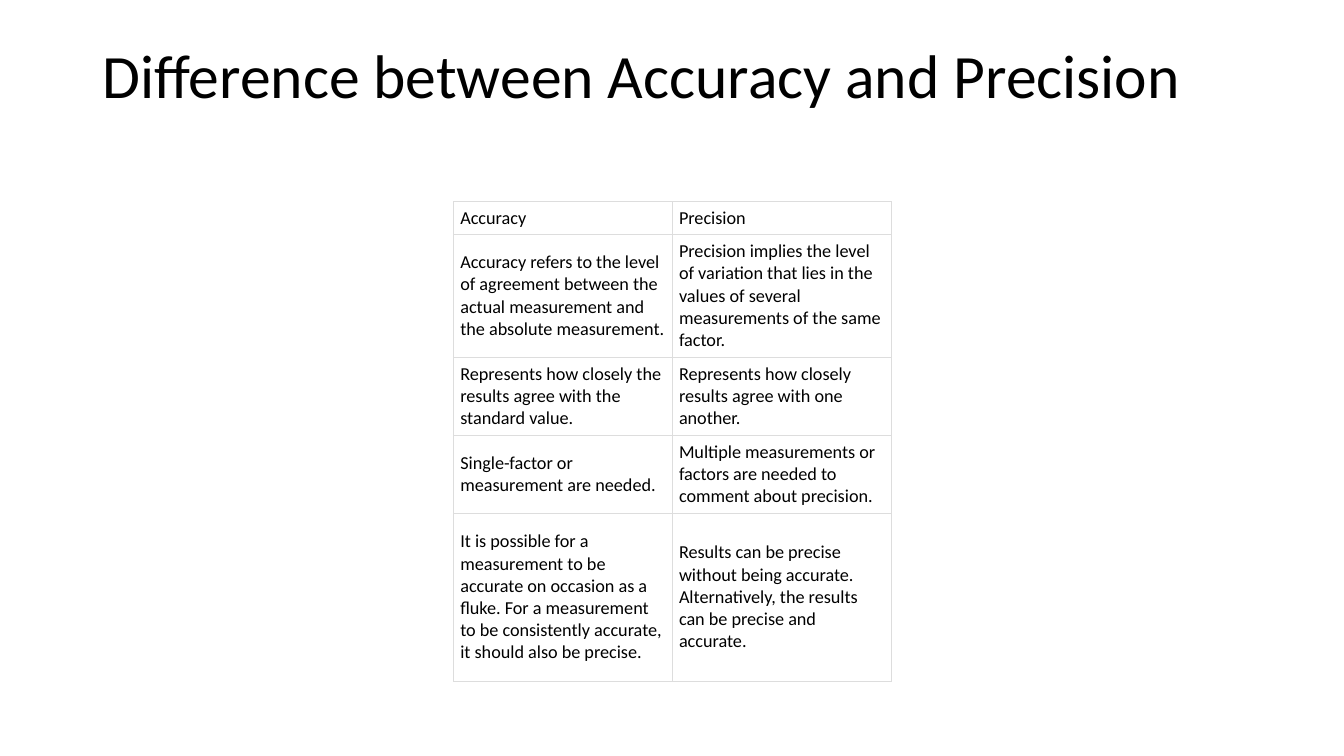
from dataclasses import dataclass

from lxml import etree
from pptx import Presentation
from pptx.dml.color import RGBColor
from pptx.enum.text import MSO_ANCHOR
from pptx.oxml.ns import qn
from pptx.util import Pt

ANCHOR_TOP = MSO_ANCHOR.TOP
ANCHOR_MIDDLE = MSO_ANCHOR.MIDDLE
FONT = "Calibri"
COLORS = {"text": "000000", "cell": "FFFFFF", "border": "DDDDDD"}
BORDER_WIDTH = 0.6
COLUMN_WIDTH = 156.24
MARGIN_X, MARGIN_Y = 4.8, 3.6


@dataclass
class ComparisonRow:
    accuracy: str
    precision: str
    height: float


ROWS = [
    ComparisonRow("Accuracy", "Precision", 23.4),
    ComparisonRow(
        "Accuracy refers to the level of agreement between the actual "
        "measurement and the absolute measurement.",
        "Precision implies the level of variation that lies in the values of "
        "several measurements of the same factor.",
        87.84,
    ),
    ComparisonRow(
        "Represents how closely the results agree with the standard value.",
        "Represents how closely results agree with one another.",
        55.6,
    ),
    ComparisonRow(
        "Single-factor or measurement are needed.",
        "Multiple measurements or factors are needed to comment about precision.",
        55.6,
    ),
    ComparisonRow(
        "It is possible for a measurement to be accurate on occasion as a fluke. "
        "For a measurement to be consistently accurate, it should also be precise.",
        "Results can be precise without being accurate. Alternatively, the "
        "results can be precise and accurate.",
        120.24,
    ),
]


def write_text(frame, text: str, *, size: float, color: str = "text",
               line_spacing: float = 1.0) -> None:
    para = frame.paragraphs[0]
    para.line_spacing = line_spacing
    span = para.add_run()
    span.text = text
    span.font.name = FONT
    span.font.size = Pt(size)
    span.font.color.rgb = RGBColor.from_string(COLORS[color])


def add_borders(cell) -> None:
    properties = cell._tc.get_or_add_tcPr()
    for position, side in enumerate(("lnL", "lnR", "lnT", "lnB")):
        line = etree.Element(qn(f"a:{side}"), w=str(Pt(BORDER_WIDTH)))
        fill = etree.SubElement(line, qn("a:solidFill"))
        etree.SubElement(fill, qn("a:srgbClr"), val=COLORS["border"])
        # Borders come before the cell fill
        properties.insert(position, line)


def format_cell(cell, text: str) -> None:
    cell.margin_left = cell.margin_right = Pt(MARGIN_X)
    cell.margin_top = cell.margin_bottom = Pt(MARGIN_Y)
    cell.vertical_anchor = ANCHOR_MIDDLE
    cell.fill.solid()
    cell.fill.fore_color.rgb = RGBColor.from_string(COLORS["cell"])
    add_borders(cell)
    write_text(cell.text_frame, text, size=13)


def add_title(page, text: str) -> None:
    title = page.shapes.title
    title.left, title.top = Pt(66), Pt(28.8)
    title.width, title.height = Pt(828), Pt(104.4)
    frame = title.text_frame
    frame.word_wrap = True
    frame.vertical_anchor = ANCHOR_TOP
    write_text(frame, text, size=44, line_spacing=0.9)
    frame.paragraphs[0].alignment = PP_LEFT


def add_comparison(page, rows: list[ComparisonRow]) -> None:
    height = sum(row.height for row in rows)
    table = page.shapes.add_table(len(rows), 2, Pt(324), Pt(144),
                                  Pt(2 * COLUMN_WIDTH), Pt(height)).table
    table.first_row = table.horz_banding = False
    for column in table.columns:
        column.width = Pt(COLUMN_WIDTH)
    for index, row in enumerate(rows):
        table.rows[index].height = Pt(row.height)
        for column_index, text in enumerate((row.accuracy, row.precision)):
            format_cell(table.cell(index, column_index), text)


def main() -> None:
    deck = Presentation()
    deck.slide_width, deck.slide_height = Pt(960), Pt(540)
    # Title-only layout
    page = deck.slides.add_slide(deck.slide_layouts[5])
    add_title(page, "Difference between Accuracy and Precision")
    add_comparison(page, ROWS)
    deck.save("out.pptx")


from pptx.enum.text import PP_ALIGN

PP_LEFT = PP_ALIGN.LEFT

if __name__ == "__main__":
    main()
